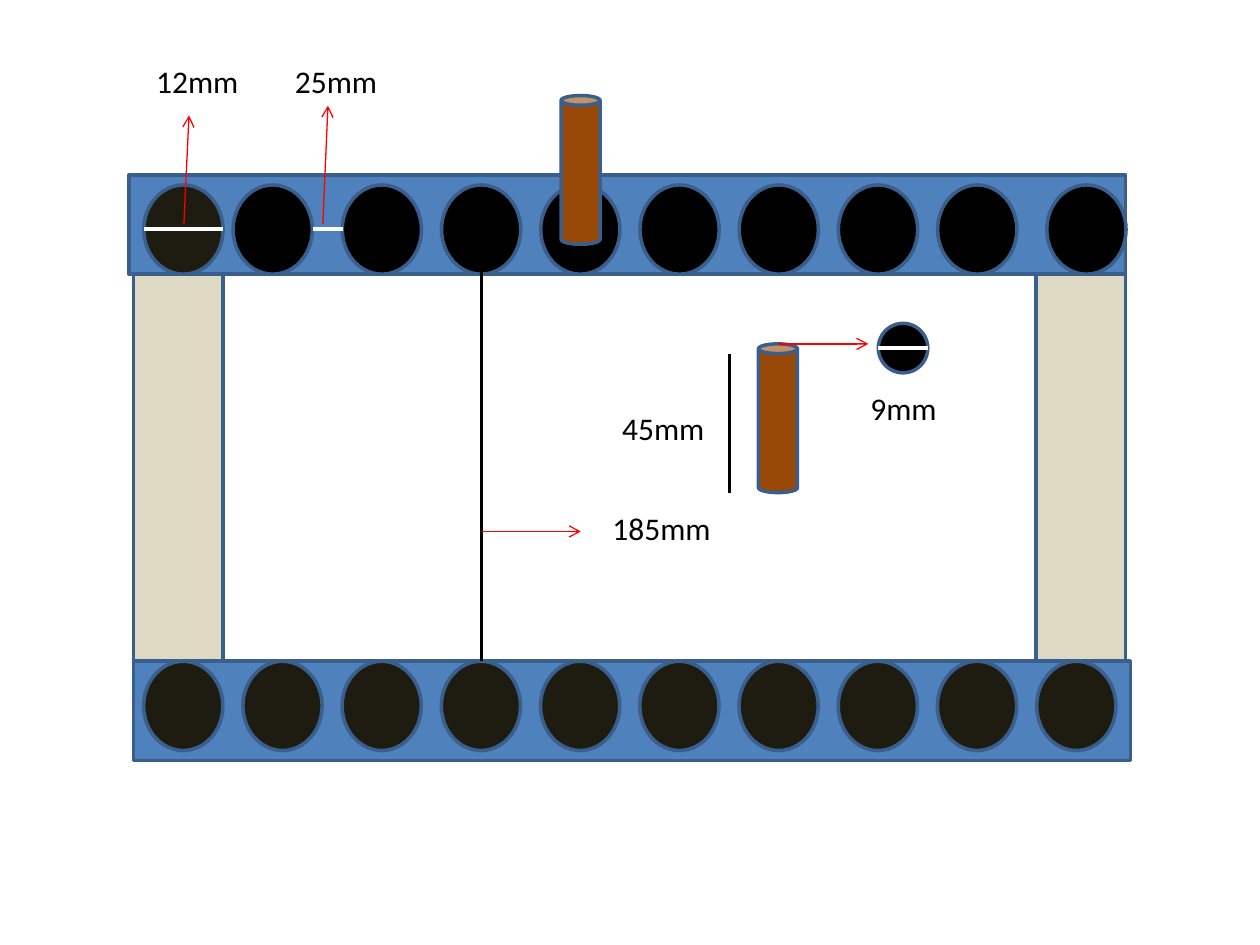
import pptx
import pptx.util
import pptx.oxml.ns
import pptx.dml.color
import pptx.enum.shapes
import pptx.enum.text
from dataclasses import dataclass
from lxml import etree

Pt = pptx.util.Pt
SHAPE = pptx.enum.shapes.MSO_SHAPE


@dataclass(frozen=True)
class Theme:
    outline: str = "3A5F8C"
    bar: str = "4F81BD"
    post: str = "DDD9C3"
    hole: str = "000000"
    dark_hole: str = "1E1C11"
    peg: str = "984807"
    arrow: str = "FF0000"
    light: str = "FFFFFF"
    text: str = "000000"
    font: str = "Calibri"
    size: float = 18
    thick: float = 2
    thin: float = 0.75


THEME = Theme()
BAR_W, BAR_H = 569.5, 56.7
HOLE_W, HOLE_H, HOLE_PITCH, HOLES = 45.3, 51, 56.7, 10
POST_W = 51
PEG_W, PEG_H = 22.3, 85


def rgb(color):
    return pptx.dml.color.RGBColor.from_string(color)


def add_shape(s, kind, x, y, w, h, fill):
    sp = s.shapes.add_shape(kind, Pt(x), Pt(y), Pt(w), Pt(h))
    sp.shadow.inherit = False
    sp.fill.solid()
    sp.fill.fore_color.rgb = rgb(fill)
    sp.line.color.rgb = rgb(THEME.outline)
    sp.line.width = Pt(THEME.thick)
    return sp


def add_line(s, x1, y1, x2, y2, color, width=THEME.thick, arrow=False):
    cx = s.shapes.add_connector(pptx.enum.shapes.MSO_CONNECTOR.STRAIGHT,
                                Pt(x1), Pt(y1), Pt(x2), Pt(y2))
    cx.line.color.rgb = rgb(color)
    cx.line.width = Pt(width)
    qn = pptx.oxml.ns.qn
    if arrow:
        etree.SubElement(cx.line._get_or_add_ln(), qn("a:tailEnd"), type="arrow")
    etree.SubElement(cx._element.spPr, qn("a:effectLst"))
    return cx


def add_arrow(s, x1, y1, x2, y2):
    return add_line(s, x1, y1, x2, y2, THEME.arrow, THEME.thin, arrow=True)


def add_text(s, text, x, y, w=61.9, h=29, size=THEME.size, color=THEME.text):
    sp = s.shapes.add_textbox(Pt(x), Pt(y), Pt(w), Pt(h))
    tf = sp.text_frame
    tf.word_wrap = False
    tf.auto_size = pptx.enum.text.MSO_AUTO_SIZE.SHAPE_TO_FIT_TEXT
    r = tf.paragraphs[0].add_run()
    r.text = text
    r.font.name = THEME.font
    r.font.size = Pt(size)
    r.font.color.rgb = rgb(color)
    return sp


def add_peg(s, x, y):
    return add_shape(s, SHAPE.CAN, x, y, PEG_W, PEG_H, THEME.peg)


def add_bar(s, x, y, hole_x, hole_y, fills, shifts):
    """A bar with an evenly spaced row of holes; shifts moves single holes."""
    add_shape(s, SHAPE.RECTANGLE, x, y, BAR_W, BAR_H, THEME.bar)
    for i, fill in enumerate(fills):
        add_shape(s, SHAPE.OVAL, x + hole_x + i * HOLE_PITCH + shifts.get(i, 0),
                  y + hole_y, HOLE_W, HOLE_H, fill)


def add_rack(s, x, y, w, h):
    # Side posts, then the bars that cover their ends
    inset = w - BAR_W
    for post_x in (x + inset, x + BAR_W - POST_W):
        add_shape(s, SHAPE.RECTANGLE, post_x, y, POST_W, h, THEME.post)
    add_bar(s, x, y, 8.6, 5.7, [THEME.dark_hole] + [THEME.hole] * (HOLES - 1),
            {1: -5.7, 9: 5.7})
    add_bar(s, x + inset, y + h - BAR_H, 5.7, 0, [THEME.dark_hole] * HOLES, {})
    # Peg standing in the fifth hole
    add_peg(s, x + 247, y - 45.4)


def add_rack_dimensions(s, x, y, w, h):
    # Hole diameter, gap between holes, distance between bars
    mid = y + 31
    drop = x + 201.6
    add_line(s, x + 8.6, mid, x + 54, mid, THEME.light)
    add_line(s, x + 105.2, mid, x + 122.3, mid, THEME.light)
    add_line(s, drop, y + 51, drop, y + h - BAR_H, THEME.text)
    # Arrows to the labels
    add_arrow(s, x + 31.5, y + 28, x + 34.4, y - 34)
    add_arrow(s, x + 110.9, y + 28, x + 113.8, y - 39.6)
    add_arrow(s, drop, y + 203.7, drop + HOLE_PITCH, y + 203.7)
    add_text(s, "12mm", x + 8.6, y - 68.4)
    add_text(s, "25mm", x + 87.9, y - 68.4)
    add_text(s, "185mm", x + 269.3, y + 187.2, w=71.3)


def add_peg_detail(s, x, y, w, h):
    # Peg with its length
    top = y + h - PEG_H
    add_peg(s, x + 84.9, top)
    add_line(s, x + 68.4, y + h, x + 68.4, top + 5.7, THEME.text)
    add_text(s, "45mm", x, y + 45.4)
    # Peg end with its diameter
    d = 28.3
    end_x = x + w - 41
    add_shape(s, SHAPE.OVAL, end_x, y, d, d, THEME.hole)
    add_line(s, end_x, y + d / 2, end_x + d, y + d / 2, THEME.light)
    add_arrow(s, x + 84.9 + PEG_W / 2, top, end_x - 5.7, top)
    add_text(s, "9mm", x + 141.8, y + 33.8, w=52.6)


def main():
    prs = pptx.Presentation()
    prs.slide_width, prs.slide_height = Pt(720), Pt(540)
    s = prs.slides.add_slide(prs.slide_layouts.get_by_name("Blank"))
    rack = (73.6, 100, 572.3, 334.6)
    add_rack(s, *rack)
    add_rack_dimensions(s, *rack)
    add_peg_detail(s, 348.5, 184.8, 194.4, 96.7)
    prs.save("out.pptx")


if __name__ == "__main__":
    main()
